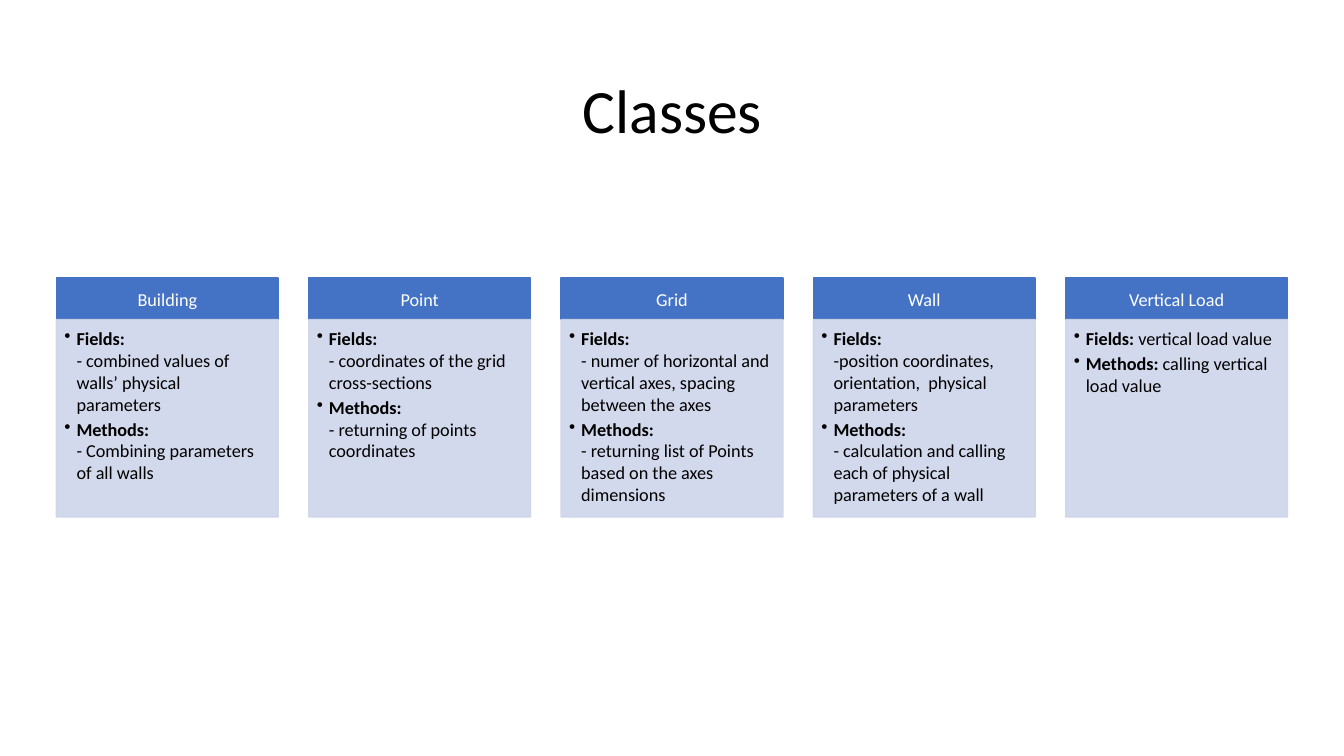
from dataclasses import dataclass

from lxml.etree import SubElement as Sub
from pptx import Presentation
from pptx.dml.color import RGBColor as Color
from pptx.enum.shapes import MSO_SHAPE as Kind
from pptx.enum.text import MSO_ANCHOR as Anchor, PP_ALIGN as Align
from pptx.oxml.ns import qn
from pptx.util import Inches, Pt


@dataclass(frozen=True)
class Theme:
    font: str = "Calibri"
    dark: Color = Color(0, 0, 0)
    light: Color = Color(255, 255, 255)
    head: Color = Color.from_string("4472C4")
    body: Color = Color.from_string("CFD5EA")
    title: float = 44
    text: float = 13


@dataclass(frozen=True)
class Item:
    label: str
    text: str
    split: bool = True


@dataclass(frozen=True)
class Card:
    name: str
    items: tuple[Item, ...]


@dataclass(frozen=True)
class Grid:
    wide: float = 13.33
    high: float = 7.5
    edge: float = 0.56
    cell: float = 2.2
    top: float = 2.76
    head: float = 0.41
    body: float = 1.96

    def left(self, col: int, count: int) -> float:
        step = (self.wide - 2 * self.edge - self.cell) / (count - 1)
        return self.edge + col * step


THEME = Theme()
GRID = Grid()
CARDS = (
    Card("Building", (
        Item("Fields:", "- combined values of walls’ physical parameters"),
        Item("Methods:", "- Combining parameters of all walls"))),
    Card("Point", (
        Item("Fields:", "- coordinates of the grid cross-sections"),
        Item("Methods:", "- returning of points coordinates"))),
    Card("Grid", (
        Item("Fields:", "- numer of horizontal and vertical axes, spacing between the axes"),
        Item("Methods:", "- returning list of Points based on the axes dimensions"))),
    Card("Wall", (
        Item("Fields:", "-position coordinates, orientation,  physical parameters"),
        Item("Methods:", "- calculation and calling each of physical parameters of a wall"))),
    Card("Vertical Load", (
        Item("Fields: ", "vertical load value", False),
        Item("Methods: ", "calling vertical load value", False))),
)


def style(para, size: float, color: Color, align: Align) -> None:
    para.alignment = align
    para.font.name = THEME.font
    para.font.size = Pt(size)
    para.font.color.rgb = color


def box(slide, left: float, top: float, high: float, color: Color,
        pad: tuple[float, ...], anchor: Anchor):
    shape = slide.shapes.add_shape(
        Kind.RECTANGLE, *map(Inches, (left, top, GRID.cell, high)))
    shape.shadow.inherit = False
    shape.fill.solid()
    shape.fill.fore_color.rgb = color
    shape.line.color.rgb = color
    shape.line.width = Pt(1)
    frame = shape.text_frame
    frame.word_wrap = True
    frame.vertical_anchor = anchor
    (frame.margin_left, frame.margin_top,
     frame.margin_right, frame.margin_bottom) = map(Inches, pad)
    return shape


def fade(shape, share: int) -> None:
    for node in shape.element.spPr.iter(qn("a:srgbClr")):
        Sub(node, qn("a:alpha"), val=str(share * 1000))


def bullet(para, item: Item) -> None:
    style(para, THEME.text, THEME.dark, Align.LEFT)
    para.space_after = Pt(2)
    props = para._p.get_or_add_pPr()
    props.set("marL", str(Inches(0.12)))
    props.set("indent", str(Inches(-0.12)))
    mark = Sub(props, qn("a:buChar"), char="•")
    props.find(qn("a:defRPr")).addprevious(mark)
    run = para.add_run()
    run.text = item.label
    run.font.bold = True
    if item.split:
        para.add_line_break()
    para.add_run().text = item.text


def draw(slide, card: Card, left: float) -> None:
    head = box(slide, left, GRID.top, GRID.head, THEME.head,
               (0.1, 0.06, 0.1, 0.06), Anchor.MIDDLE)
    para = head.text_frame.paragraphs[0]
    para.text = card.name
    style(para, THEME.text, THEME.light, Align.CENTER)
    body = box(slide, left, GRID.top + GRID.head, GRID.body, THEME.body,
               (0.08, 0.08, 0.1, 0.11), Anchor.TOP)
    fade(body, 90)
    frame = body.text_frame
    for row, item in enumerate(card.items):
        bullet(frame.add_paragraph() if row else frame.paragraphs[0], item)


deck = Presentation()
deck.slide_width = Inches(GRID.wide)
deck.slide_height = Inches(GRID.high)
slide = deck.slides.add_slide(deck.slide_layouts[5])

title = slide.shapes.title
title.left, title.top, title.width, title.height = map(
    Inches, (0.92, 0.4, 11.5, 1.45))
title.text_frame.vertical_anchor = Anchor.MIDDLE
para = title.text_frame.paragraphs[0]
para.text = "Classes"
para.line_spacing = 0.9
style(para, THEME.title, THEME.dark, Align.CENTER)

for col, card in enumerate(CARDS):
    draw(slide, card, GRID.left(col, len(CARDS)))

deck.save("out.pptx")
